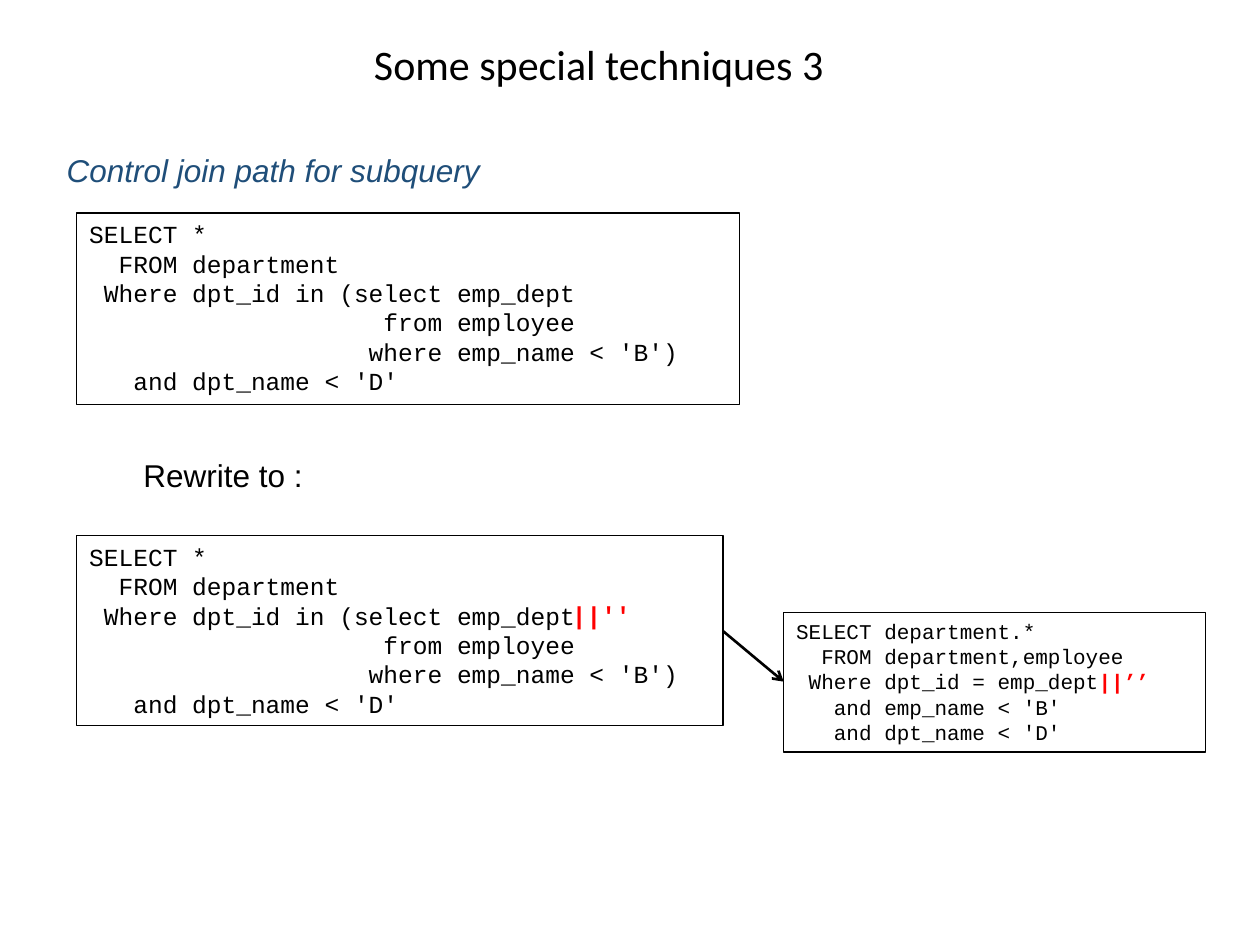
from lxml import etree
from pptx import Presentation
from pptx.dml.color import RGBColor
from pptx.enum import shapes, text
from pptx.oxml.ns import qn
from pptx.util import Inches, Pt

BLACK = RGBColor(0, 0, 0)
BLUE = RGBColor(0x1F, 0x4E, 0x79)
RED = RGBColor(0xFF, 0, 0)
CODE = "Courier New"

QUERY = """SELECT *
  FROM department
 Where dpt_id in (select emp_dept
                    from employee
                   where emp_name < 'B')
   and dpt_name < 'D'"""
JOIN = """SELECT department.*
  FROM department,employee
 Where dpt_id = emp_dept||’’
   and emp_name < 'B'
   and dpt_name < 'D'"""

prs = Presentation()
prs.slide_width, prs.slide_height = Inches(10), Inches(7.5)
slide = prs.slides.add_slide(prs.slide_layouts[6])


def style(font, size, name, color, **flags):
    font.size, font.name = Pt(size), name
    font.color.rgb = color
    for key, value in flags.items():
        setattr(font, key, value)


# Headings and labels
labels = [
    ("Some special techniques 3", (2.87, 0.3, 7.3, 0.68), True,
     dict(size=24, name="Calibri", color=BLACK), dict(line_spacing=0.9)),
    ("Control join path for subquery", (0.43, 1.15, 3.51, 0.4), False,
     dict(size=18, name="Arial", color=BLUE, italic=True), {}),
    ("Rewrite to :", (0.67, 3.57, 2.2, 0.4), True,
     dict(size=18, name="Arial", color=BLACK),
     dict(alignment=text.PP_ALIGN.CENTER)),
    ("||''", (4.44, 4.71, 0.79, 0.34), False,
     dict(size=14, name=CODE, color=RED, bold=True), {}),
]
for words, place, wrap, look, form in labels:
    frame = slide.shapes.add_textbox(*map(Inches, place)).text_frame
    frame.word_wrap = wrap
    para = frame.paragraphs[0]
    for key, value in form.items():
        setattr(para, key, value)
    run = para.add_run()
    run.text = words
    style(run.font, **look)

# Framed code; the text from || onwards is marked red
codes = [
    (QUERY, (0.61, 1.69, 5.26, 1.52), 14),
    (QUERY, (0.61, 4.25, 5.13, 1.51), 14),
    (JOIN, (6.22, 4.86, 3.35, 1.11), 12),
]
for code, place, size in codes:
    box = slide.shapes.add_shape(shapes.MSO_SHAPE.RECTANGLE,
                                 *map(Inches, place))
    box.shadow.inherit = False
    box.fill.background()
    box.line.color.rgb, box.line.width = BLACK, Pt(0.75)
    frame = box.text_frame
    frame.word_wrap = True
    frame.vertical_anchor = text.MSO_ANCHOR.TOP
    for i, line in enumerate(code.split("\n")):
        para = frame.add_paragraph() if i else frame.paragraphs[0]
        para.alignment = text.PP_ALIGN.LEFT
        plain, mark, rest = line.partition("||")
        for words, color in ((plain, BLACK), (mark + rest, RED)):
            if words:
                run = para.add_run()
                run.text = words
                style(run.font, size, CODE, color, bold=color == RED)

# Arrow from the rewritten query to the join
arrow = slide.shapes.add_connector(
    shapes.MSO_CONNECTOR.STRAIGHT, *map(Inches, (5.74, 5.01, 6.22, 5.41)))
arrow.line.color.rgb, arrow.line.width = BLACK, Pt(1.5)
etree.SubElement(arrow.line._get_or_add_ln(), qn("a:tailEnd"), type="arrow")
etree.SubElement(arrow._element.spPr, qn("a:effectLst"))

prs.save("out.pptx")
